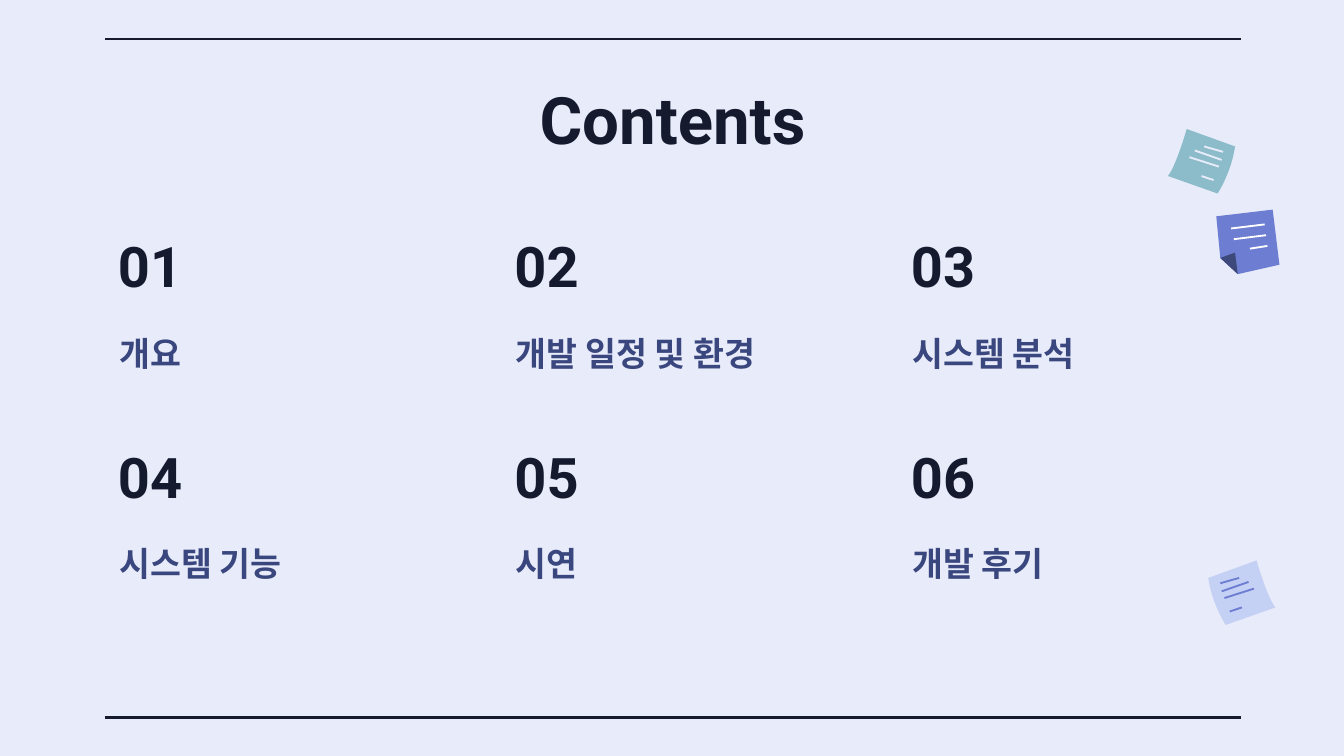
from lxml import etree
from pptx import Presentation
from pptx.dml.color import RGBColor
from pptx.enum.shapes import MSO_CONNECTOR
from pptx.enum.text import MSO_ANCHOR, MSO_AUTO_SIZE, PP_ALIGN
from pptx.oxml.ns import qn
from pptx.util import Inches, Pt

LINE = MSO_CONNECTOR.STRAIGHT
TOP, BOTTOM = MSO_ANCHOR.TOP, MSO_ANCHOR.BOTTOM
LEFT, CENTER = PP_ALIGN.LEFT, PP_ALIGN.CENTER
NONE = MSO_AUTO_SIZE.NONE
rgb = RGBColor.from_string

LATIN, KOREAN = "Roboto", "Noto Sans CJK KR"
DARK, NAVY, PALE = "151A2E", "3A477E", "E8EBFA"
TEAL, BLUE, FOLD, SKY, WHITE = "8CBCC9", "6D7DD2", "3D497B", "C5D0F5", "FFFFFF"


def write(box, text, size, font, color, anchor, align):
    frame = box.text_frame
    frame.word_wrap = True
    frame.auto_size = NONE
    frame.vertical_anchor = anchor
    frame.margin_left = frame.margin_right = Inches(0.1)
    frame.margin_top = frame.margin_bottom = Inches(0.1)
    para = frame.paragraphs[0]
    para.alignment = align
    para.line_spacing = 1.0
    para.space_before = Pt(0)
    run = para.add_run()
    run.text = text
    run.font.size = Pt(size)
    run.font.bold = True
    run.font.name = font
    run.font.color.rgb = rgb(color)
    latin = run.font._element.find(qn("a:latin"))
    east = etree.Element(qn("a:ea"), typeface=font)
    latin.addnext(east)


def rule(ends, color, width):
    line = slide.shapes.add_connector(LINE, *[Inches(v) for v in ends])
    line.line.color.rgb = rgb(color)
    line.line.width = Pt(width)
    etree.SubElement(line._element.spPr, qn("a:effectLst"))


deck = Presentation()
deck.slide_width = Inches(10)
deck.slide_height = deck.slide_width * 9 // 16
slide = deck.slides.add_slide(deck.slide_layouts[5])
slide.background.fill.solid()
slide.background.fill.fore_color.rgb = rgb(PALE)

for y in (5.34, 0.29):
    rule((0.78, y, 9.23, y), DARK, 1.5)

title = slide.shapes.title
title.left, title.top = Inches(0.79), Inches(0.49)
title.width, title.height = Inches(8.43), Inches(0.63)
write(title, "Contents", 35, LATIN, DARK, TOP, CENTER)

topics = ["개요", "개발 일정 및 환경", "시스템 분석", "시스템 기능", "시연", "개발 후기"]
for i, topic in enumerate(topics):
    row, col = divmod(i, 3)
    x, y = 0.78 + 2.95 * col, 1.69 + 1.57 * row
    box = slide.shapes.add_textbox(Inches(x), Inches(y), Inches(0.8), Inches(0.63))
    write(box, f"{i + 1:02d}", 30, LATIN, DARK, BOTTOM, LEFT)
    x, y = 0.79 + 2.95 * col, 2.35 + 1.56 * row
    box = slide.shapes.add_textbox(Inches(x), Inches(y), Inches(2.52), Inches(0.53))
    write(box, topic, 18, KOREAN, NAVY, BOTTOM, LEFT)

curves = [
    [(9.19, 1.09), (9.16, 1.29), (9.06, 1.44), (9.06, 1.44)],
    [(8.69, 1.31), (8.75, 1.24), (8.83, 0.96), (8.83, 0.96)],
]
sheet = []
for curve in curves:
    for step in range(13):
        t = step / 12
        parts = ((1 - t) ** 3, 3 * t * (1 - t) ** 2, 3 * t * t * (1 - t), t ** 3)
        sheet.append([sum(w * p[k] for w, p in zip(parts, curve)) for k in (0, 1)])
marks = [(8.96, 1.09, 9.1, 1.13), (8.89, 1.12, 9.09, 1.19),
         (8.85, 1.17, 9.07, 1.24), (8.94, 1.31, 9.03, 1.34)]

page = [(9.47, 1.56), (9.52, 1.97), (9.21, 2.04), (9.08, 1.92), (9.05, 1.61)]
flap = [(9.19, 1.88), (9.21, 2.04), (9.08, 1.92)]
strokes = [(9.16, 1.7, 9.41, 1.67), (9.18, 1.78, 9.42, 1.75),
           (9.3, 1.85, 9.43, 1.83)]

flip, drop = 18.18, 3.21
mirror = [(flip - x, y + drop) for x, y in sheet]
ticks = [(flip - a, b + drop, flip - c, d + drop) for a, b, c, d in marks]

notes = [
    (sheet, TEAL, marks, PALE),
    (page, BLUE, [], WHITE),
    (flap, FOLD, strokes, WHITE),
    (mirror, SKY, ticks, BLUE),
]
for points, color, lines, ink in notes:
    spots = [(Inches(x), Inches(y)) for x, y in points]
    pen = slide.shapes.build_freeform(*spots[0])
    pen.add_line_segments(spots[1:], close=True)
    note = pen.convert_to_shape()
    note.shadow.inherit = False
    note.fill.solid()
    note.fill.fore_color.rgb = rgb(color)
    note.line.fill.background()
    for ends in lines:
        rule(ends, ink, 1)

deck.save("out.pptx")
